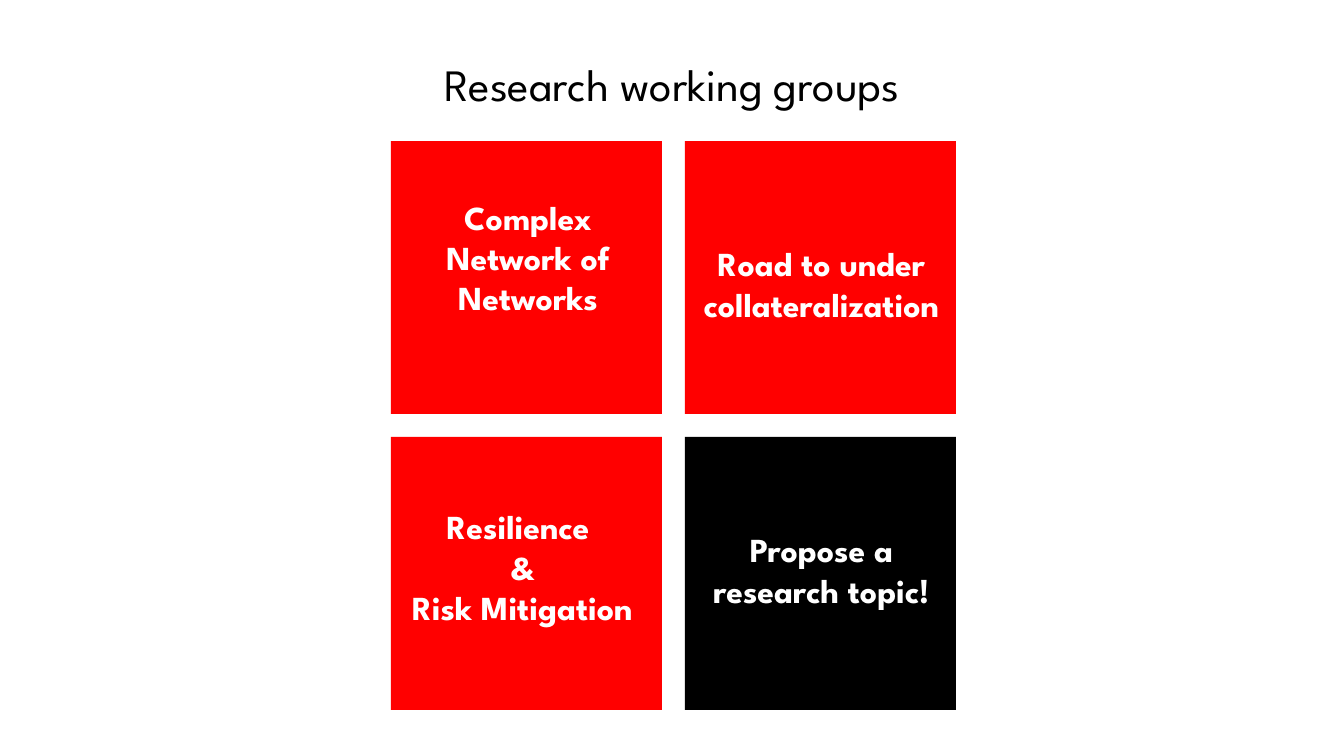
from pptx import Presentation
from pptx.dml.color import RGBColor
from pptx.enum.shapes import MSO_SHAPE
from pptx.enum.text import MSO_ANCHOR, PP_ALIGN
from pptx.util import Inches, Pt

RECTANGLE = MSO_SHAPE.RECTANGLE
TOP = MSO_ANCHOR.TOP
CENTER = PP_ALIGN.CENTER

COLORS = {"red": "FF0000", "black": "000000", "white": "FFFFFF"}
FONT = "League Spartan"
TITLE = "Research working groups"
TITLE_BOX = (46, 43, 1252, 85)
GROUPS = [
    {"column": 0, "row": 0, "fill": "red", "box": (433, 183, 190, 172),
     "lines": ["Complex Network of Networks"]},
    {"column": 1, "row": 0, "fill": "red", "box": (683, 230, 277, 114),
     "lines": ["Road to under", "collateralization"]},
    {"column": 0, "row": 1, "fill": "red", "box": (384, 493, 277, 114),
     "lines": ["Resilience ", "&", "Risk Mitigation"]},
    {"column": 1, "row": 1, "fill": "black", "box": (683, 516, 277, 114),
     "lines": ["Propose a research topic!"]},
]
GRID_LEFT, GRID_TOP = 391, 141
TILE_WIDTH, TILE_HEIGHT = 271, 273
GAP = 23
EMU_PER_PX = 914400 / 134.4


def px(*lengths):
    return [round(length * EMU_PER_PX) for length in lengths]


def color(name):
    return RGBColor.from_string(COLORS[name])


def write(shape, lines, size, color_name, bold):
    frame = shape.text_frame
    frame.word_wrap = True
    frame.vertical_anchor = TOP
    frame.margin_left = frame.margin_right = Inches(0.1)
    frame.margin_top = frame.margin_bottom = Inches(0.1)
    frame.text = "\n".join(lines)
    for paragraph in frame.paragraphs:
        paragraph.alignment = CENTER
        paragraph.font.name = FONT
        paragraph.font.size = Pt(size)
        paragraph.font.bold = bold
        paragraph.font.color.rgb = color(color_name)


def add_tile(slide, group):
    left = GRID_LEFT + group["column"] * (TILE_WIDTH + GAP)
    top = GRID_TOP + group["row"] * (TILE_HEIGHT + GAP)
    tile = slide.shapes.add_shape(RECTANGLE, *px(left, top, TILE_WIDTH, TILE_HEIGHT))
    tile.shadow.inherit = False
    tile.fill.solid()
    tile.fill.fore_color.rgb = color(group["fill"])
    tile.line.fill.background()


def main():
    presentation = Presentation()
    presentation.slide_width, presentation.slide_height = px(1344, 756)
    slide = presentation.slides.add_slide(presentation.slide_layouts[5])
    title = slide.shapes.title
    title.left, title.top, title.width, title.height = px(*TITLE_BOX)
    write(title, [TITLE], 24, "black", False)
    for group in GROUPS:
        add_tile(slide, group)
    for group in GROUPS:
        label = slide.shapes.add_textbox(*px(*group["box"]))
        write(label, group["lines"], 18, "white", True)
    presentation.save("out.pptx")


if __name__ == "__main__":
    main()
